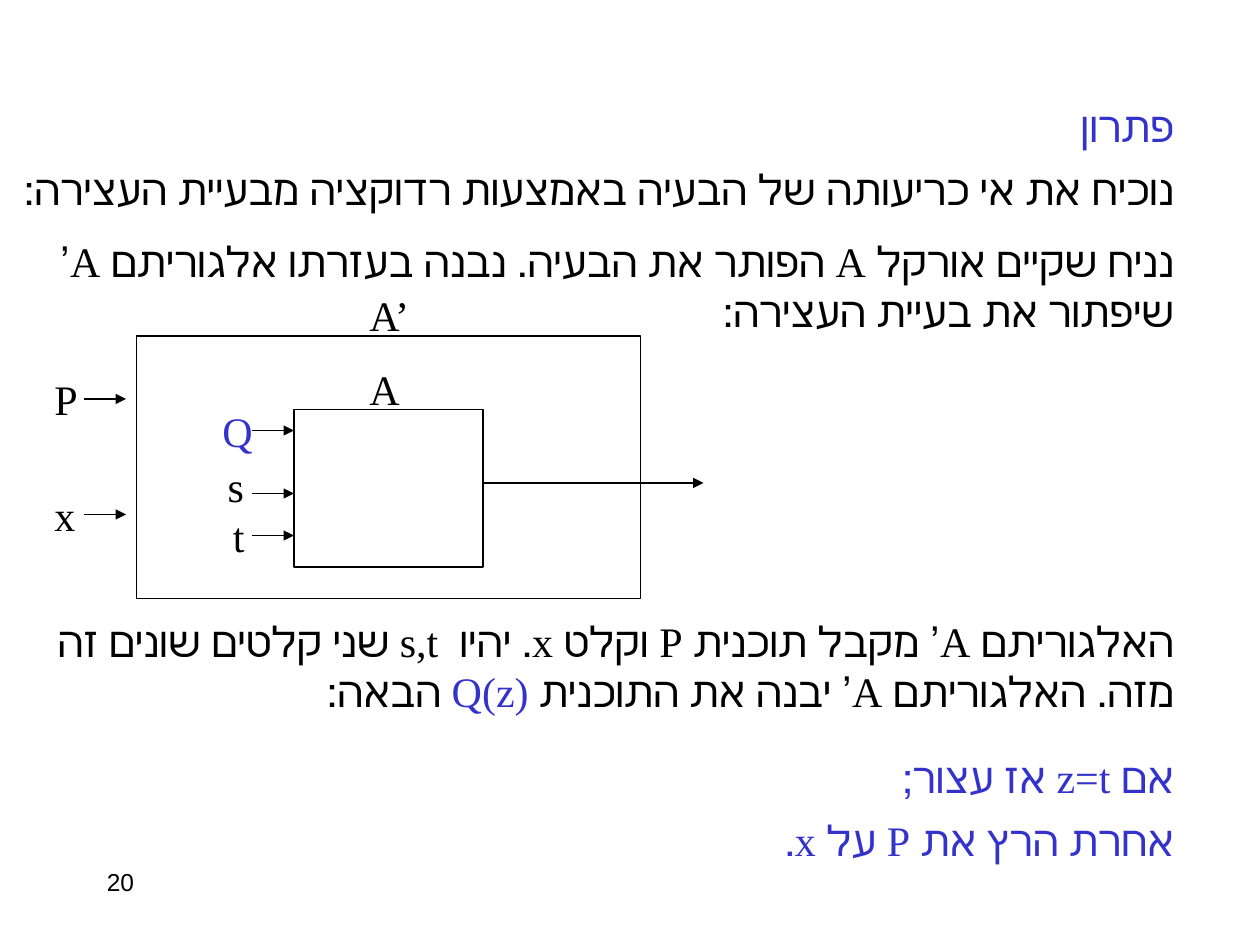
from pptx import Presentation
from pptx.util import Inches, Pt
from pptx.dml.color import RGBColor
from pptx.enum.shapes import MSO_CONNECTOR, MSO_SHAPE
from pptx.enum.text import MSO_ANCHOR, MSO_AUTO_SIZE, PP_ALIGN
from pptx.oxml.ns import qn
from lxml.etree import SubElement

BLACK = RGBColor(0, 0, 0)
BLUE = RGBColor(0x33, 0x33, 0xCC)
FONT = "Times New Roman"

deck = Presentation()
deck.slide_width, deck.slide_height = Inches(10), Inches(7.5)
slide = deck.slides.add_slide(deck.slide_layouts[5])

# Grid of 120 columns by 90 rows
CELL = deck.slide_width / 120


def grid(*cells):
    return [round(n * CELL) for n in cells]


def write(box, lines, color=BLACK, rtl=False, size=24):
    """Fill a box; each line is a list of (text, color or None) runs."""
    frame = box.text_frame
    frame.word_wrap = True
    frame.auto_size = MSO_AUTO_SIZE.SHAPE_TO_FIT_TEXT
    frame.vertical_anchor = MSO_ANCHOR.TOP
    for i, runs in enumerate(lines):
        para = frame.add_paragraph() if i else frame.paragraphs[0]
        para.alignment = PP_ALIGN.RIGHT if rtl else PP_ALIGN.LEFT
        para.space_before = Pt(size / 2)
        para.font.name, para.font.size = FONT, Pt(size)
        para.font.color.rgb = color
        if rtl:
            para._p.get_or_add_pPr().set("rtl", "1")
        for text, tint in runs:
            run = para.add_run()
            run.text = text
            run.font.name, run.font.size = FONT, Pt(size)
            run.font.color.rgb = tint or color


# Title
title = slide.shapes.title
title.left, title.top, title.width, title.height = grid(27, 9, 86, 6)
write(title, [[("פתרון", None)]], BLUE, True)

# Right-to-left body text: top row, height, color, lines
BODY = [
    (15, 18, BLACK, [
        [("נוכיח את אי כריעותה של הבעיה באמצעות רדוקציה מבעיית העצירה:", None)],
        [("נניח שקיים אורקל A הפותר את הבעיה. נבנה בעזרתו אלגוריתם A’ "
          "שיפתור את בעיית העצירה:", None)]]),
    (58, 10.8, BLACK, [
        [("האלגוריתם A’ מקבל תוכנית P וקלט x. יהיו  s,t שני קלטים שונים זה מזה. "
          "האלגוריתם A’ יבנה את התוכנית ", None),
         ("Q(z)", BLUE), (" הבאה:", None)]]),
    (71, 6, BLUE, [[("אם z=t אז עצור;", None)]]),
    (77, 6, BLUE, [[("אחרת הרץ את P על x.", None)]]),
]
for top, high, color, lines in BODY:
    box = slide.shapes.add_textbox(*grid(0, top, 113, high))
    write(box, lines, color, True)

# Diagram, outer then inner: frame, labels (text, column, row, width, color),
# arrows (start column, end column, row)
PARTS = [
    ((13, 32, 48, 25),
     [("A’", 34, 27, 8, BLACK), ("P", 4, 35, 8, BLACK), ("x", 4, 46, 8, BLACK)],
     [(8, 12, 38), (8, 12, 49)]),
    ((28, 39, 18, 15),
     [("A", 34, 34, 8, BLACK), ("Q", 20, 38, 8, BLUE),
      ("s", 20.5, 43.3, 4, BLACK), ("t", 21, 48, 4, BLACK)],
     [(24, 28, 41), (24, 28, 47), (46, 67, 46), (24, 28, 51)]),
]
for frame, labels, arrows in PARTS:
    group = slide.shapes.add_group_shape().shapes
    rect = group.add_shape(MSO_SHAPE.RECTANGLE, *grid(*frame))
    rect.shadow.inherit = False
    rect.fill.background()
    rect.line.color.rgb, rect.line.width = BLACK, Pt(0.75)
    for text, col, row, wide, color in labels:
        label = group.add_textbox(*grid(col, row, wide, 6))
        write(label, [[(text, None)]], color)
    for start, end, row in arrows:
        arrow = group.add_connector(MSO_CONNECTOR.STRAIGHT, *grid(start, row, end, row))
        arrow.line.color.rgb, arrow.line.width = BLACK, Pt(0.75)
        SubElement(arrow.line._get_or_add_ln(), qn("a:tailEnd"), type="triangle")
        SubElement(arrow._element.spPr, qn("a:effectLst"))

# Slide number
number = slide.shapes.add_textbox(*grid(9, 82, 25, 6))
write(number, [[("20", None)]], size=14)
para = number.text_frame.paragraphs[0]
para._p.get_or_add_pPr().set("rtl", "1")
SubElement(para.runs[0]._r.get_or_add_rPr(), qn("a:cs"), typeface="Arial")

deck.save("out.pptx")
